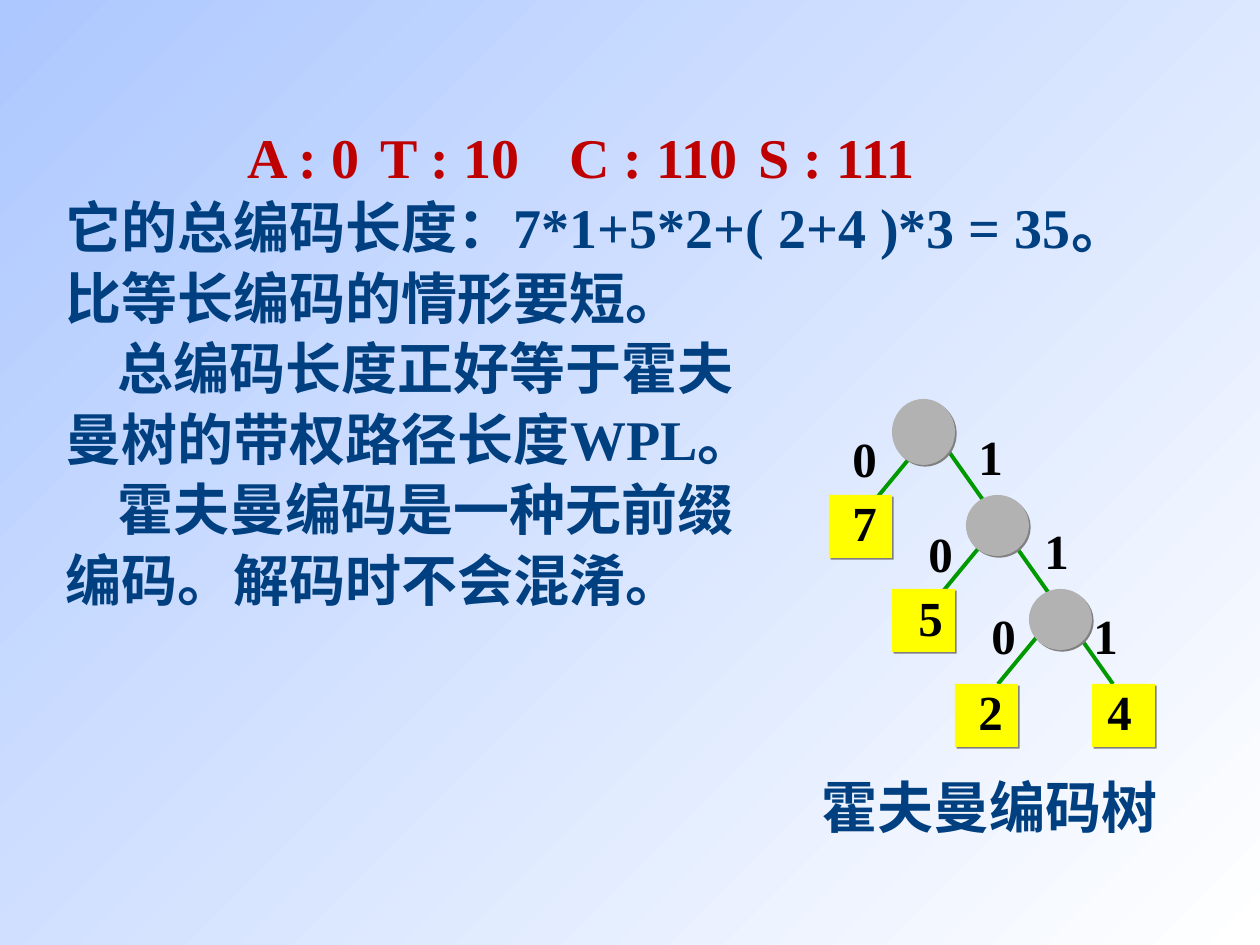
from lxml import etree
from pptx import Presentation
from pptx import util as u
from pptx.dml import color
from pptx.enum import shapes, text
from pptx.oxml import ns

SCALE = 914400 / 126
FONT = "Times New Roman"
NAVY, RED, BLACK = "004080", "BE0000", "000000"
GREEN, GREY, YELLOW, SHADE = "009900", "B2B2B2", "FFFF00", "808080"

CODES = "A : 0\tT : 10\tC : 110\tS : 111"
CODE_INDENT, CODE_TABS = 182, (350, 559, 781)
EXPLANATION = [
    ("它的总编码长度：7*1+5*2+( 2+4 )*3 = 35。比等长编码的情形要短。", 0),
    ("总编码长度正好等于霍夫", 52),
    ("曼树的带权路径长度WPL。", 0),
    ("霍夫曼编码是一种无前缀", 52),
    ("编码。解码时不会混淆。", 0),
]

BRANCHES = [(84, 55, 32, 118), (158, 139, 106, 202),
            (221, 222, 169, 285), (106, 33, 284, 285)]
INNER_NODES = [(63, 0, 66), (200, 190, 61), (137, 96, 61)]
LEAVES = [(0, 96), (63, 190), (126, 285), (263, 285)]
BITS = [("0", 11, 23), ("0", 87, 118), ("0", 150, 200),
        ("1", 137, 21), ("1", 203, 115), ("1", 252, 200)]
WEIGHTS = [("2", 137, 276), ("4", 266, 276), ("5", 77, 182), ("7", 11, 87)]
NODE = 63


def px(length):
    """Turn pixels into EMU."""
    return u.Emu(round(length * SCALE))


def rgb(value):
    """Turn a hex string into a colour."""
    return color.RGBColor.from_string(value)


def add_run(paragraph, words, size, ink):
    """Append one bold run to a paragraph."""
    run = paragraph.add_run()
    run.text = words
    run.font.name, run.font.size, run.font.bold = FONT, u.Pt(size), True
    run.font.color.rgb = rgb(ink)


def add_frame(parent, left, top, width, height, wrap=True):
    """Add a text box and return its text frame."""
    frame = parent.add_textbox(px(left), px(top), px(width), px(height)).text_frame
    frame.word_wrap = wrap
    frame.auto_size = text.MSO_AUTO_SIZE.SHAPE_TO_FIT_TEXT
    return frame


def add_label(parent, words, left, top):
    """Add a centred bit or weight of the tree."""
    frame = add_frame(parent, left, top, 49, 72, wrap=False)
    frame.vertical_anchor = text.MSO_ANCHOR.MIDDLE
    frame.paragraphs[0].alignment = text.PP_ALIGN.CENTER
    add_run(frame.paragraphs[0], words, 28, BLACK)


def add_node(parent, kind, left, top, height, fill):
    """Add a tree node with a hard offset shadow."""
    node = parent.add_shape(kind, px(left), px(top), px(NODE), px(height))
    node.fill.solid()
    node.fill.fore_color.rgb = rgb(fill)
    node.line.fill.background()
    node.shadow.inherit = False
    effects = node.element.spPr.find(ns.qn("a:effectLst"))
    shadow = etree.SubElement(effects, ns.qn("a:outerShdw"), dist=str(u.Pt(1.4)),
                              dir="2700000", algn="ctr", rotWithShape="0")
    etree.SubElement(shadow, ns.qn("a:srgbClr"), val=SHADE)


def add_branch(parent, start_x, start_y, end_x, end_y):
    """Add one green line of the tree."""
    branch = parent.add_connector(shapes.MSO_CONNECTOR.STRAIGHT, px(start_x),
                                  px(start_y), px(end_x), px(end_y))
    branch.line.color.rgb = rgb(GREEN)
    branch.line.width = u.Pt(2.25)
    etree.SubElement(branch.element.spPr, ns.qn("a:effectLst"))


def paint_background(slide):
    """Fill the slide with a diagonal gradient."""
    fill = slide.background.fill
    fill.gradient()
    fill.gradient_angle = 135
    for stop, position, shade in zip(fill.gradient_stops, (0, 1), ("FFFFFF", "ADC8FF")):
        stop.position = position
        stop.color.rgb = rgb(shade)


def build_explanation(slide, left, top, width, height):
    """Write the code table line and the explanation below it."""
    frame = add_frame(slide.shapes, left, top, width, height)
    codes = frame.paragraphs[0]
    properties = codes._p.get_or_add_pPr()
    properties.set("indent", str(px(CODE_INDENT)))
    stops = etree.SubElement(properties, ns.qn("a:tabLst"))
    for position in CODE_TABS:
        etree.SubElement(stops, ns.qn("a:tab"), pos=str(px(position)), algn="l")
    add_run(codes, CODES, 32, RED)
    for words, indent in EXPLANATION:
        paragraph = frame.add_paragraph()
        paragraph.line_spacing = 1.05
        paragraph._p.get_or_add_pPr().set("indent", str(px(indent)))
        add_run(paragraph, words, 32, NAVY)


def build_caption(slide, left, top, width, height):
    """Write the name of the tree."""
    frame = add_frame(slide.shapes, left, top, width, height)
    add_run(frame.paragraphs[0], "霍夫曼编码树", 32, NAVY)


def build_tree(slide, left, top):
    """Draw the Huffman tree as one group."""
    tree = slide.shapes.add_group_shape().shapes
    for start_x, start_y, end_x, end_y in BRANCHES:
        add_branch(tree, left + start_x, top + start_y, left + end_x, top + end_y)
    for x, y, height in INNER_NODES:
        add_node(tree, shapes.MSO_SHAPE.OVAL, left + x, top + y, height, GREY)
    for bit, x, y in BITS:
        add_label(tree, bit, left + x, top + y)
    for x, y in LEAVES:
        add_node(tree, shapes.MSO_SHAPE.RECTANGLE, left + x, top + y, NODE, YELLOW)
    for weight, x, y in WEIGHTS:
        add_label(tree, weight, left + x, top + y)


def main():
    """Build the slide and save it."""
    deck = Presentation()
    deck.slide_width, deck.slide_height = px(1260), px(945)
    slide = deck.slides.add_slide(deck.slide_layouts[6])
    paint_background(slide)
    build_explanation(slide, 53, 116, 1103, 504)
    build_caption(slide, 809, 766, 368, 81)
    build_tree(slide, 829, 399)
    deck.save("out.pptx")


if __name__ == "__main__":
    main()
